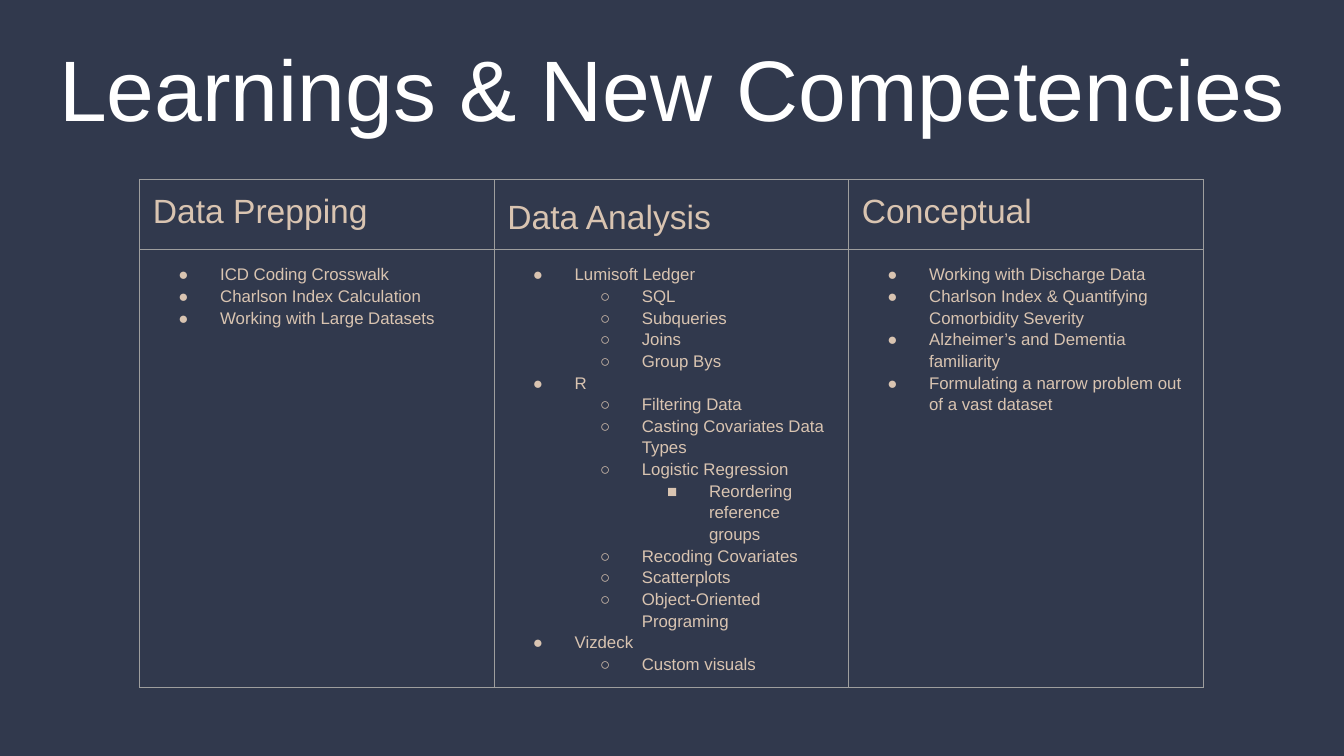
from dataclasses import dataclass

from lxml.etree import SubElement
from pptx import Presentation
from pptx.dml.color import RGBColor
from pptx.enum.text import MSO_ANCHOR, MSO_AUTO_SIZE, PP_ALIGN
from pptx.oxml import parse_xml
from pptx.oxml.ns import nsdecls, qn
from pptx.util import Cm, Pt

NAVY = RGBColor(0x31, 0x39, 0x4D)
WHITE = RGBColor(0xFF, 0xFF, 0xFF)
SAND = RGBColor(0xD9, 0xC4, 0xB1)
GREY = RGBColor(0x9E, 0x9E, 0x9E)
FONT = "Arial"
MARGIN = Cm(0.25)
BULLETS = "●○■"


@dataclass
class Item:
    text: str
    level: int = 0


@dataclass
class Column:
    heading: str
    items: list[Item]
    heading_spacing: float = 1.0


COLUMNS = [
    Column("Data Prepping", [
        Item("ICD Coding Crosswalk"),
        Item("Charlson Index Calculation"),
        Item("Working with Large Datasets"),
    ]),
    Column("Data Analysis", [
        Item("Lumisoft Ledger"),
        Item("SQL", 1),
        Item("Subqueries", 1),
        Item("Joins", 1),
        Item("Group Bys", 1),
        Item("R"),
        Item("Filtering Data", 1),
        Item("Casting Covariates Data Types", 1),
        Item("Logistic Regression", 1),
        Item("Reordering reference groups", 2),
        Item("Recoding Covariates", 1),
        Item("Scatterplots", 1),
        Item("Object-Oriented Programing", 1),
        Item("Vizdeck"),
        Item("Custom visuals", 1),
    ], 1.15),
    Column("Conceptual", [
        Item("Working with Discharge Data"),
        Item("Charlson Index & Quantifying Comorbidity Severity"),
        Item("Alzheimer’s and Dementia familiarity"),
        Item("Formulating a narrow problem out of a vast dataset"),
    ]),
]


def format_runs(p, size: float, color: RGBColor) -> None:
    for r in p.runs:
        r.font.name = FONT
        r.font.size = Pt(size)
        r.font.color.rgb = color


def set_margins(target) -> None:
    target.margin_left = target.margin_right = MARGIN
    target.margin_top = target.margin_bottom = MARGIN


def style_cell(cell) -> None:
    set_margins(cell)
    cell.fill.background()
    tc_pr = cell._tc.get_or_add_tcPr()
    for i, side in enumerate(("lnL", "lnR", "lnT", "lnB")):
        tc_pr.insert(i, parse_xml(
            f'<a:{side} {nsdecls("a")} w="{Pt(0.75)}"><a:solidFill>'
            f'<a:srgbClr val="{GREY}"/></a:solidFill></a:{side}>'))


def add_bullet(p, level: int) -> None:
    p.level = level
    p_pr = p._p.get_or_add_pPr()
    p_pr.set("marL", str(Cm(1.27 * (level + 1))))
    p_pr.set("indent", str(Cm(-0.79)))
    color = SubElement(p_pr, qn("a:buClr"))
    SubElement(color, qn("a:srgbClr"), val=str(SAND))
    SubElement(p_pr, qn("a:buFont"), typeface=FONT)
    SubElement(p_pr, qn("a:buChar"), char=BULLETS[level])


def fill_heading(cell, column: Column) -> None:
    style_cell(cell)
    cell.text_frame.text = column.heading
    p = cell.text_frame.paragraphs[0]
    p.line_spacing = column.heading_spacing
    format_runs(p, 18, SAND)


def fill_items(cell, items: list[Item]) -> None:
    style_cell(cell)
    tf = cell.text_frame
    tf.text = "\n".join(item.text for item in items)
    for p, item in zip(tf.paragraphs, items):
        p.line_spacing = 1.15
        add_bullet(p, item.level)
        format_runs(p, 9, SAND)


def add_title(s, text: str) -> None:
    title = s.shapes.title
    title.left, title.top, title.width, title.height = Cm(0), Cm(0), Cm(25.4), Cm(2.87)
    tf = title.text_frame
    tf.text = text
    tf.word_wrap = True
    tf.auto_size = MSO_AUTO_SIZE.NONE
    tf.vertical_anchor = MSO_ANCHOR.BOTTOM
    set_margins(tf)
    p = tf.paragraphs[0]
    p.alignment = PP_ALIGN.CENTER
    format_runs(p, 46, WHITE)


def add_competencies(s, columns: list[Column]) -> None:
    frame = s.shapes.add_table(2, len(columns), Cm(2.64), Cm(3.4), Cm(20.1), Cm(10.11))
    table = frame.table
    table.first_row = False
    table.horz_banding = False
    table.rows[0].height = Cm(0.86)
    table.rows[1].height = Cm(1.07)
    frame.height = Cm(10.11)
    for i, column in enumerate(columns):
        fill_heading(table.cell(0, i), column)
        fill_items(table.cell(1, i), column.items)


def main() -> None:
    prs = Presentation()
    prs.slide_width, prs.slide_height = Cm(25.4), Cm(14.29)
    s = prs.slides.add_slide(prs.slide_layouts[5])
    s.background.fill.solid()
    s.background.fill.fore_color.rgb = NAVY
    add_title(s, "Learnings & New Competencies")
    add_competencies(s, COLUMNS)
    prs.save("out.pptx")


if __name__ == "__main__":
    main()
